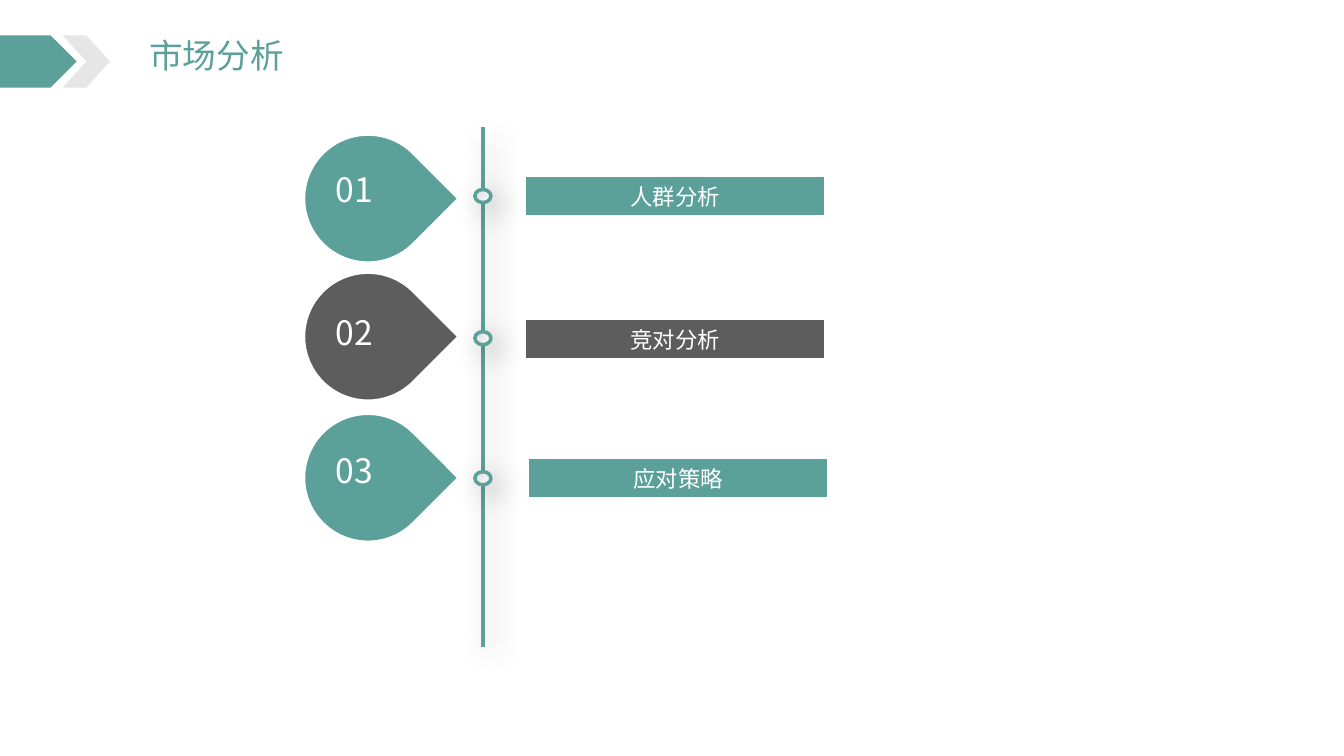
from dataclasses import dataclass

from lxml import etree
from pptx import Presentation
from pptx import util as u
from pptx.dml.color import RGBColor
from pptx.enum import shapes, text
from pptx.oxml import ns


@dataclass(frozen=True)
class Theme:
    teal: str = "5BA099"
    charcoal: str = "5D5D5D"
    pale: str = "E7E6E6"
    silver: str = "D9D9D9"
    white: str = "FFFFFF"
    black: str = "000000"
    font: str = "Noto Sans CJK SC"
    heading: int = 24
    label: int = 16
    stroke: float = 2.5


@dataclass(frozen=True)
class Topic:
    number: str
    label: str
    color: str
    drop_top: float
    number_top: float
    dot_top: float
    bar_left: float
    bar_top: float


THEME = Theme()
TOPICS = (
    Topic("01", "人群分析", THEME.teal, 1.33, 1.63, 1.88, 5.2, 1.74),
    Topic("02", "竞对分析", THEME.charcoal, 2.7, 3.05, 3.29, 5.2, 3.16),
    Topic("03", "应对策略", THEME.teal, 4.1, 4.41, 4.68, 5.23, 4.54),
)
AXIS_X = 4.79
DROP_SIZE = 1.28
DOT_WIDTH = 0.16


def rgb(color: str) -> RGBColor:
    return RGBColor.from_string(color)


def place(item, left: float, top: float, width: float, height: float) -> None:
    box = {"left": left, "top": top, "width": width, "height": height}
    for side, length in box.items():
        setattr(item, side, u.Inches(length))


def write(item, words: str, size: int, color: str, align, **frame_format) -> None:
    frame = item.text_frame
    for key, value in frame_format.items():
        setattr(frame, key, value)
    paragraph = frame.paragraphs[0]
    paragraph.alignment = align
    run = paragraph.add_run()
    run.text = words
    for key, value in {"size": u.Pt(size), "name": THEME.font, "bold": False}.items():
        setattr(run.font, key, value)
    run.font.color.rgb = rgb(color)
    east_asian = etree.SubElement(run._r.get_or_add_rPr(), ns.qn("a:ea"))
    east_asian.set("typeface", THEME.font)


def outline(item, color: str) -> None:
    item.line.color.rgb = rgb(color)
    item.line.width = u.Pt(THEME.stroke)


def add_block(slide, preset, left: float, top: float, width: float, height: float, color: str):
    block = slide.shapes.add_shape(preset, *map(u.Inches, (left, top, width, height)))
    block.shadow.inherit = False
    block.fill.solid()
    block.fill.fore_color.rgb = rgb(color)
    block.line.fill.background()
    return block


def cast_shadow(item) -> None:
    properties = item._element.spPr
    effects = properties.find(ns.qn("a:effectLst"))
    if effects is None:
        effects = etree.SubElement(properties, ns.qn("a:effectLst"))
    shadow = etree.SubElement(effects, ns.qn("a:outerShdw"))
    settings = {"blurRad": u.Pt(20), "dist": u.Pt(8), "dir": 45 * 60000, "algn": "tl", "rotWithShape": 0}
    for key, value in settings.items():
        shadow.set(key, str(value))
    shade = etree.SubElement(shadow, ns.qn("a:srgbClr"), val=THEME.black)
    etree.SubElement(shade, ns.qn("a:alpha"), val="30000")


def add_heading(slide) -> None:
    title = slide.shapes.title
    place(title, 1.38, 0.3, 1.55, 0.5)
    write(title, "市场分析", THEME.heading, THEME.teal, text.PP_ALIGN.LEFT,
          word_wrap=False, vertical_anchor=text.MSO_ANCHOR.TOP,
          auto_size=text.MSO_AUTO_SIZE.SHAPE_TO_FIT_TEXT)
    add_block(slide, shapes.MSO_SHAPE.PENTAGON, 0, 0.35, 0.76, 0.52, THEME.teal)
    add_block(slide, shapes.MSO_SHAPE.CHEVRON, 0.62, 0.35, 0.47, 0.52, THEME.pale)


def add_axis(slide) -> None:
    axis = slide.shapes.add_connector(
        shapes.MSO_CONNECTOR.STRAIGHT, *map(u.Inches, (AXIS_X, 1.26, AXIS_X, 6.42)))
    outline(axis, THEME.teal)
    cast_shadow(axis)


def add_dot(slide, topic: Topic) -> None:
    dot = add_block(slide, shapes.MSO_SHAPE.OVAL, AXIS_X - DOT_WIDTH / 2, topic.dot_top,
                    DOT_WIDTH, 0.13, THEME.white)
    dot.fill.gradient()
    dot.fill.gradient_angle = 315
    for stop, color in zip(dot.fill.gradient_stops, (THEME.silver, THEME.white)):
        stop.color.rgb = rgb(color)
    outline(dot, THEME.teal)
    cast_shadow(dot)


def add_drop(slide, topic: Topic) -> None:
    drop = add_block(slide, shapes.MSO_SHAPE.TEAR, 3.01, topic.drop_top,
                     DROP_SIZE, DROP_SIZE, topic.color)
    drop.rotation = 45
    outline(drop, THEME.white)
    number = slide.shapes.add_textbox(*map(u.Inches, (3.23, topic.number_top, 0.96, 0.5)))
    write(number, topic.number, THEME.heading, THEME.white, text.PP_ALIGN.LEFT,
          word_wrap=True, auto_size=text.MSO_AUTO_SIZE.SHAPE_TO_FIT_TEXT)


def add_bar(slide, topic: Topic) -> None:
    bar = add_block(slide, shapes.MSO_SHAPE.RECTANGLE, topic.bar_left, topic.bar_top,
                    2.99, 0.41, topic.color)
    outline(bar, THEME.white)
    write(bar, topic.label, THEME.label, THEME.white, text.PP_ALIGN.CENTER,
          vertical_anchor=text.MSO_ANCHOR.MIDDLE)


def main() -> None:
    deck = Presentation()
    deck.slide_width, deck.slide_height = u.Inches(13.33), u.Inches(7.5)
    slide = deck.slides.add_slide(deck.slide_layouts[5])
    add_heading(slide)
    add_axis(slide)
    for add_part in (add_dot, add_drop, add_bar):
        for topic in TOPICS:
            add_part(slide, topic)
    deck.save("out.pptx")


if __name__ == "__main__":
    main()
